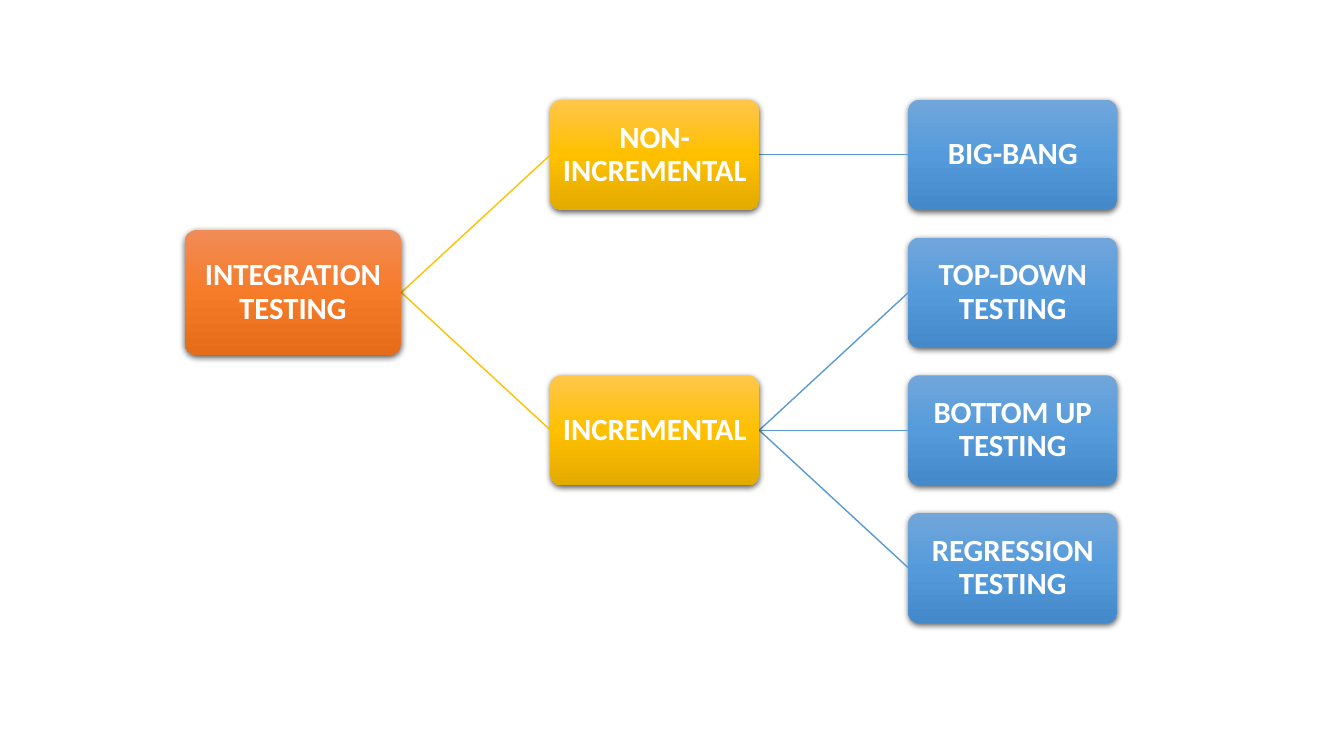
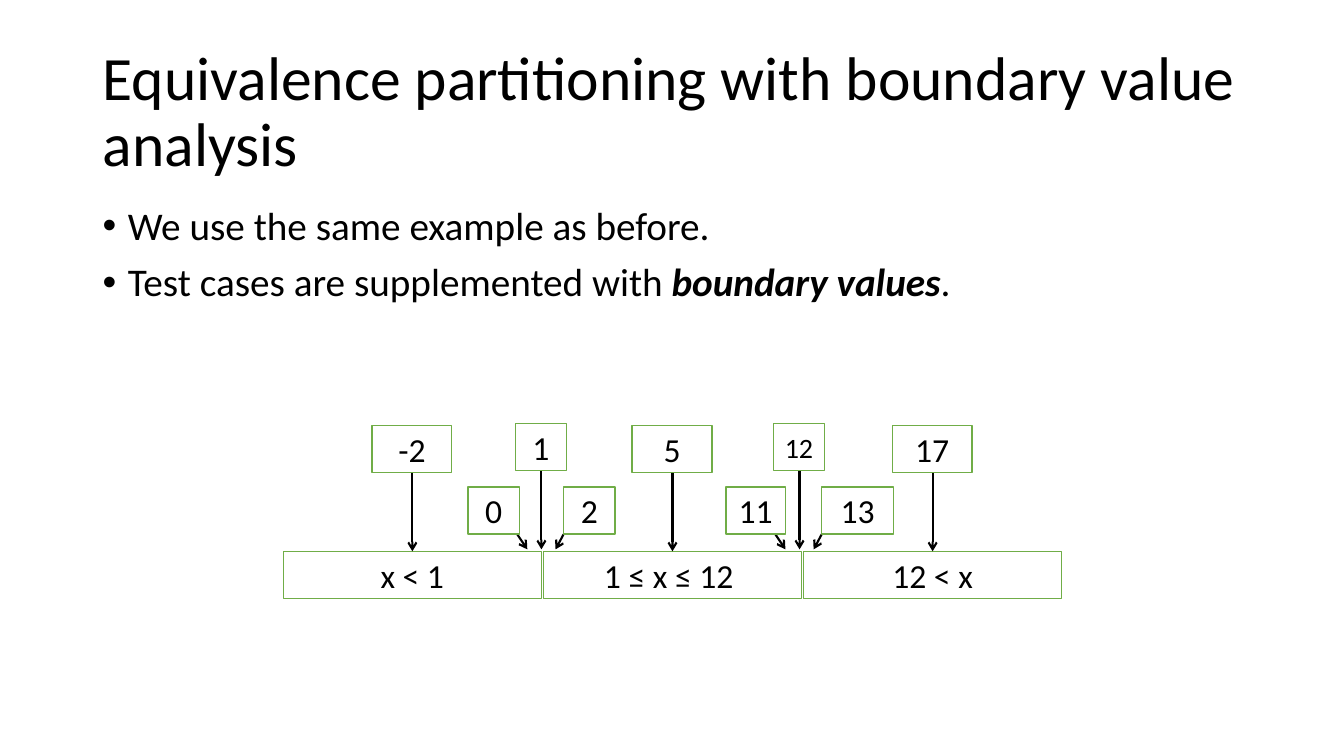
from dataclasses import dataclass

from lxml.etree import SubElement
from pptx import Presentation
from pptx.dml.color import RGBColor
from pptx.enum.shapes import MSO_CONNECTOR, MSO_SHAPE
from pptx.enum.text import MSO_ANCHOR, PP_ALIGN
from pptx.oxml import parse_xml
from pptx.oxml.ns import nsdecls, qn
from pptx.util import Inches, Pt


@dataclass(frozen=True)
class Theme:
    """Colours, font and type sizes shared by the slides."""
    font: str = "Calibri"
    ink: str = "000000"
    paper: str = "FFFFFF"
    edge: str = "70AD47"
    title: int = 44
    body: int = 28
    value: int = 24
    small: int = 20
    node: int = 22
    hair: float = 1
    arrow: float = 1.5
    fades: tuple = (("F18C57", "F67B28", "E56C19"),
                    ("FFC64B", "FFC000", "E3AB00"),
                    ("71A6DB", "559BDB", "448ACA"))
    links: tuple = ("", "FFC000", "5B9BD5")


THEME = Theme()
TREE = ("INTEGRATION TESTING", [
    ("NON- INCREMENTAL", [("BIG-BANG", [])]),
    ("INCREMENTAL", [("TOP-DOWN TESTING", []),
                     ("BOTTOM UP TESTING", []),
                     ("REGRESSION TESTING", [])])])
COLUMNS = ((0, 2.15, 1.24), (3.63, 2.07, 1.09), (7.18, 2.07, 1.09))


def add_run(para, text, size, color=THEME.ink, bold=False, italic=False):
    """Add one styled run to a paragraph."""
    run = para.add_run()
    run.text = text
    font = run.font
    font.name, font.size = THEME.font, Pt(size)
    font.bold, font.italic = bold, italic
    font.color.rgb = RGBColor.from_string(color)


def add_line(slide, start, end, color, width, arrow=False):
    """Draw a straight line, with an open arrowhead if asked."""
    line = slide.shapes.add_connector(
        MSO_CONNECTOR.STRAIGHT, *map(Inches, (*start, *end)))
    line.line.color.rgb = RGBColor.from_string(color)
    line.line.width = Pt(width)
    if arrow:
        SubElement(line.line._get_or_add_ln(), qn("a:tailEnd"), type="arrow")
    SubElement(line._element.spPr, qn("a:effectLst"))


def add_block(slide, kind, box):
    """Add a plain shape with a centred, wrapping text frame."""
    block = slide.shapes.add_shape(kind, *map(Inches, box))
    block.shadow.inherit = False
    frame = block.text_frame
    frame.word_wrap = True
    frame.vertical_anchor = MSO_ANCHOR.MIDDLE
    frame.paragraphs[0].alignment = PP_ALIGN.CENTER
    return block


def add_node(slide, box, text, fade):
    """Add a rounded tree node with a gradient and a soft shadow."""
    node = add_block(slide, MSO_SHAPE.ROUNDED_RECTANGLE, box)
    node.adjustments[0] = 0.1
    node.line.fill.background()
    stops = "".join(
        f'<a:gs pos="{spot * 50000}"><a:srgbClr val="{color}"/></a:gs>'
        for spot, color in enumerate(fade))
    props = node._element.spPr
    props.find(qn("a:prstGeom")).addnext(parse_xml(
        f'<a:gradFill {nsdecls("a")} rotWithShape="1"><a:gsLst>{stops}</a:gsLst>'
        '<a:lin ang="5400000" scaled="0"/></a:gradFill>'))
    props.find(qn("a:effectLst")).append(parse_xml(
        f'<a:outerShdw {nsdecls("a")} blurRad="{Pt(4.5)}" dist="{Pt(1.5)}" '
        f'dir="5400000" algn="ctr" rotWithShape="0"><a:srgbClr val="{THEME.ink}">'
        '<a:alpha val="63000"/></a:srgbClr></a:outerShdw>'))
    frame = node.text_frame
    frame.margin_left = frame.margin_right = Inches(0.05)
    frame.margin_top = frame.margin_bottom = Inches(0.05)
    para = frame.paragraphs[0]
    para.line_spacing = 0.9
    add_run(para, text, THEME.node, THEME.paper, bold=True)


def count_leaves(tree):
    """Count the end nodes below a tree node."""
    return sum(map(count_leaves, tree[1])) or 1


def add_tree(slide, tree, box, level=0):
    """Draw a tree in its box and return the middle height of its root."""
    left, top, width, height = box
    text, kids = tree
    shift, wide, high = COLUMNS[level]
    leaf = COLUMNS[-1][2]
    pitch = (height - leaf) / max(count_leaves(tree) - 1, 1)
    mids, row = [], top
    for kid in kids:
        span = count_leaves(kid)
        part = (left, row, width, (span - 1) * pitch + leaf)
        mids.append(add_tree(slide, kid, part, level + 1))
        row += span * pitch
    mid = sum(mids) / len(mids) if mids else top + leaf / 2
    for end in mids:
        add_line(slide, (left + shift + wide, mid),
                 (left + COLUMNS[level + 1][0], end),
                 THEME.links[level + 1], THEME.hair)
    add_node(slide, (left + shift, mid - high / 2, wide, high),
             text, THEME.fades[level])
    return mid


def add_title(slide, box, text):
    """Place the slide title."""
    frame = slide.shapes.add_textbox(*map(Inches, box)).text_frame
    frame.word_wrap = True
    frame.vertical_anchor = MSO_ANCHOR.MIDDLE
    para = frame.paragraphs[0]
    para.line_spacing = 0.9
    add_run(para, text, THEME.title)


def add_points(slide, box, points):
    """Place a bullet list; each point is a list of (text, strong) parts."""
    frame = slide.shapes.add_textbox(*map(Inches, box)).text_frame
    frame.word_wrap = True
    for rank, point in enumerate(points):
        para = frame.add_paragraph() if rank else frame.paragraphs[0]
        para.line_spacing, para.space_before = 0.9, Pt(10)
        props = para._p.get_or_add_pPr()
        props.set("marL", str(Inches(0.25)))
        props.set("indent", str(-Inches(0.25)))
        SubElement(props, qn("a:buFont"), typeface="Arial")
        SubElement(props, qn("a:buChar"), char="•")
        for text, strong in point:
            add_run(para, text, THEME.body, bold=strong, italic=strong)


def add_cell(slide, box, text, size=THEME.value):
    """Add a white box with a green edge."""
    cell = add_block(slide, MSO_SHAPE.RECTANGLE, box)
    cell.fill.solid()
    cell.fill.fore_color.rgb = RGBColor.from_string(THEME.paper)
    cell.line.color.rgb = RGBColor.from_string(THEME.edge)
    cell.line.width = Pt(THEME.hair)
    add_run(cell.text_frame.paragraphs[0], text, size)


def add_ranges(slide, box):
    """Draw the value ranges with their test and boundary values."""
    left, top, width, height = box
    gap, high = 0.02, 0.47
    wide = (width - 2 * gap) / 3
    base = top + height - high
    ranges = (("x < 1", "-2"), ("1 ≤ x ≤ 12 ", "5"), ("12 < x", "17"))
    for rank, (text, value) in enumerate(ranges):
        start = left + rank * (wide + gap)
        mid = start + wide / 2
        add_cell(slide, (start, base, wide, high), text)
        add_line(slide, (mid, top + gap + high), (mid, base),
                 THEME.ink, THEME.arrow, True)
        add_cell(slide, (mid - 0.4, top + gap, 0.79, high), value)

    bounds = (("1", THEME.value, ("0", 0.51), ("2", 0.51)),
              ("12", THEME.small, ("11", 0.59), ("13", 0.71)))
    row, tip = top + 0.63, base - gap
    for rank, (text, size, below, above) in enumerate(bounds, 1):
        edge = left + rank * wide
        for start, end, level in ((0, 0, top), (-0.24, -0.14, row),
                                  (0.22, 0.14, row)):
            add_line(slide, (edge + start, level + high), (edge + end, tip),
                     THEME.ink, THEME.arrow, True)
        add_cell(slide, (edge - 0.26, top, 0.51, high), text, size)
        for shift, (value, span) in ((-0.73, below), (0.22, above)):
            add_cell(slide, (edge + shift, row, span, high), value)


def main():
    """Build and save the presentation."""
    deck = Presentation()
    deck.slide_width, deck.slide_height = Inches(13.33), Inches(7.5)
    blank = deck.slide_layouts[6]

    add_tree(deck.slides.add_slide(blank), TREE, (1.83, 0.99, 9.25, 5.19))

    slide = deck.slides.add_slide(blank)
    add_title(slide, (0.92, 0.4, 11.5, 1.45),
              "Equivalence partitioning with boundary value analysis")
    add_points(slide, (0.92, 2, 11.5, 4.76), (
        [("We use the same example as before.", False)],
        [("Test cases are supplemented with ", False),
         ("boundary values", True), (".", False)]))
    add_ranges(slide, (2.81, 4.2, 7.72, 1.74))
    deck.save("out.pptx")


if __name__ == "__main__":
    main()
